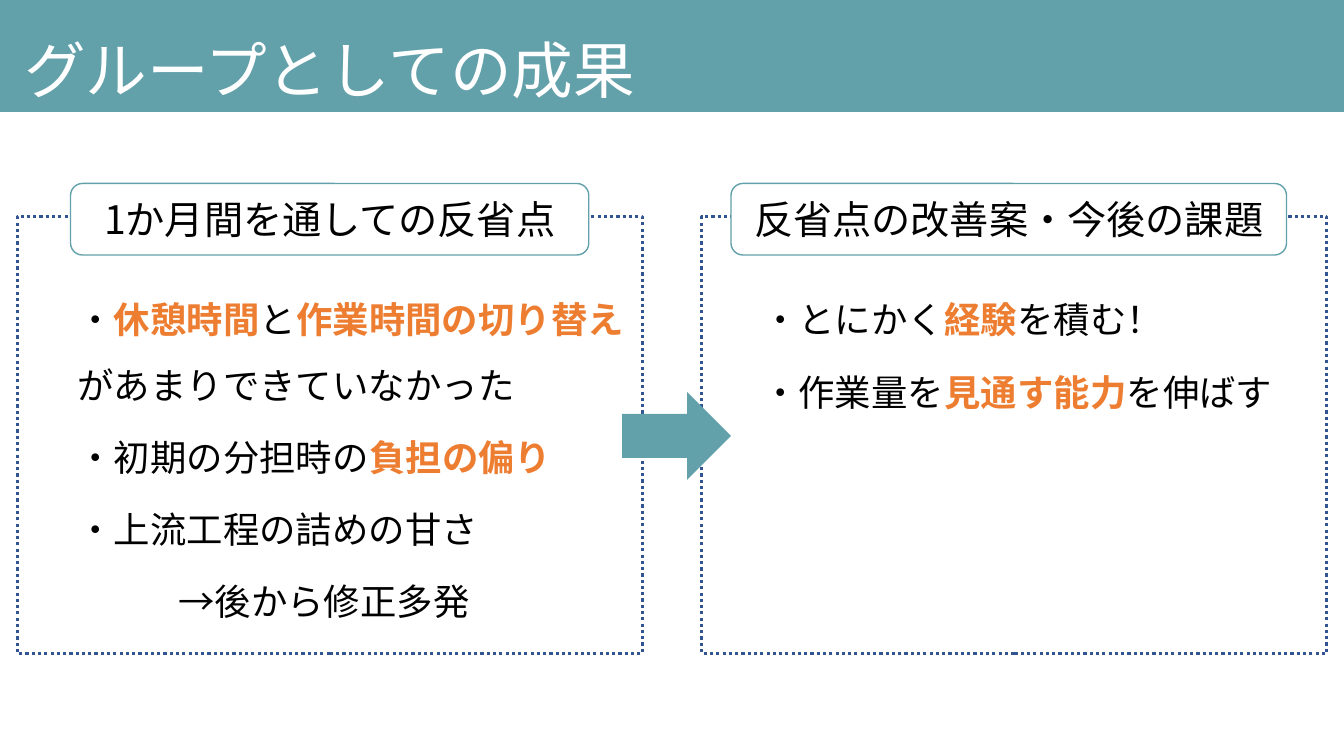
from pptx import Presentation
from pptx.dml.color import RGBColor
from pptx.enum.dml import MSO_LINE as Dash
from pptx.enum.shapes import MSO_SHAPE as Kind
from pptx.enum.text import MSO_ANCHOR as Anchor, PP_ALIGN as Align
from pptx.oxml.ns import qn
from pptx.util import Inches, Pt
from lxml.etree import SubElement

TEAL = RGBColor(0x62, 0xA0, 0xAA)
NAVY = RGBColor(0x32, 0x54, 0x91)
ORANGE = RGBColor(0xED, 0x7D, 0x31)
BLACK = RGBColor(0, 0, 0)
WHITE = RGBColor(255, 255, 255)
FONT = "Noto Sans CJK JP"

# Each line is (indent, parts); every second part is emphasised
ISSUES = [
    (0.5, ["・", "休憩時間", "と", "作業時間の切り替え", "があまりできていなかった"]),
    (0.5, ["・初期の分担時の", "負担の偏り"]),
    (0.5, ["・上流工程の詰めの甘さ"]),
    (1.5, ["→後から修正多発"]),
]
PLANS = [
    (0.5, ["・とにかく", "経験", "を積む！"]),
    (0.5, ["・作業量を", "見通す能力", "を伸ばす"]),
]


def add_box(slide, kind, box, fill=None, line=None, width=1):
    shape = slide.shapes.add_shape(kind, *(Inches(v) for v in box))
    shape.shadow.inherit = False
    if fill is None:
        shape.fill.background()
    else:
        shape.fill.solid()
        shape.fill.fore_color.rgb = fill
    if line is None:
        shape.line.fill.background()
    else:
        shape.line.color.rgb = line
        shape.line.width = Pt(width)
    shape.text_frame.word_wrap = True
    return shape


def style(para, size, color, align=Align.LEFT):
    para.alignment = align
    font = para.font
    font.size = Pt(size)
    font.color.rgb = color
    font.name = FONT
    # East Asian typeface
    props = para._p.pPr.find(qn("a:defRPr"))
    SubElement(props, qn("a:ea")).set("typeface", FONT)


def add_title(slide, box, text):
    frame = add_box(slide, Kind.RECTANGLE, box, TEAL).text_frame
    frame.vertical_anchor = Anchor.TOP
    frame.margin_left = Inches(0.24)
    frame.margin_top = Inches(0.32)
    frame.margin_bottom = 0
    para = frame.paragraphs[0]
    para.text = text
    style(para, 44, WHITE)


def add_panel(slide, box, lines):
    shape = add_box(slide, Kind.RECTANGLE, box, line=NAVY, width=2.25)
    shape.line.dash_style = Dash.ROUND_DOT
    frame = shape.text_frame
    frame.vertical_anchor = Anchor.TOP
    frame.margin_top = Inches(0.59)
    for i, (indent, parts) in enumerate(lines):
        para = frame.add_paragraph() if i else frame.paragraphs[0]
        style(para, 26, BLACK)
        para.line_spacing = Pt(46.5)
        para.space_after = Pt(5)
        para._p.pPr.set("marL", str(Inches(indent)))
        for j, part in enumerate(parts):
            run = para.add_run()
            run.text = part
            if j % 2:
                run.font.bold = True
                run.font.color.rgb = ORANGE


def add_label(slide, box, text):
    shape = add_box(slide, Kind.ROUNDED_RECTANGLE, box, WHITE, TEAL)
    shape.text_frame.vertical_anchor = Anchor.MIDDLE
    para = shape.text_frame.paragraphs[0]
    para.text = text
    style(para, 28, BLACK, Align.CENTER)


def add_topic(slide, box, inset, wide, head, lines):
    left, top = box[:2]
    add_panel(slide, box, lines)
    add_label(slide, (left + inset, top - 0.33, wide, 0.71), head)


def main():
    deck = Presentation()
    deck.slide_width = Inches(13.33)
    deck.slide_height = Inches(7.5)
    slide = deck.slides.add_slide(deck.slide_layouts[6])

    add_title(slide, (0, 0, 13.33, 1.11), "グループとしての成果")
    add_topic(slide, (0.17, 2.15, 6.2, 4.33), 0.53, 5.14,
              "1か月間を通しての反省点", ISSUES)
    add_topic(slide, (6.96, 2.15, 6.2, 4.33), 0.29, 5.51,
              "反省点の改善案・今後の課題", PLANS)
    # Arrow from issues to plans
    add_box(slide, Kind.RIGHT_ARROW, (6.17, 3.89, 1.08, 0.87), TEAL)

    deck.save("out.pptx")


if __name__ == "__main__":
    main()
